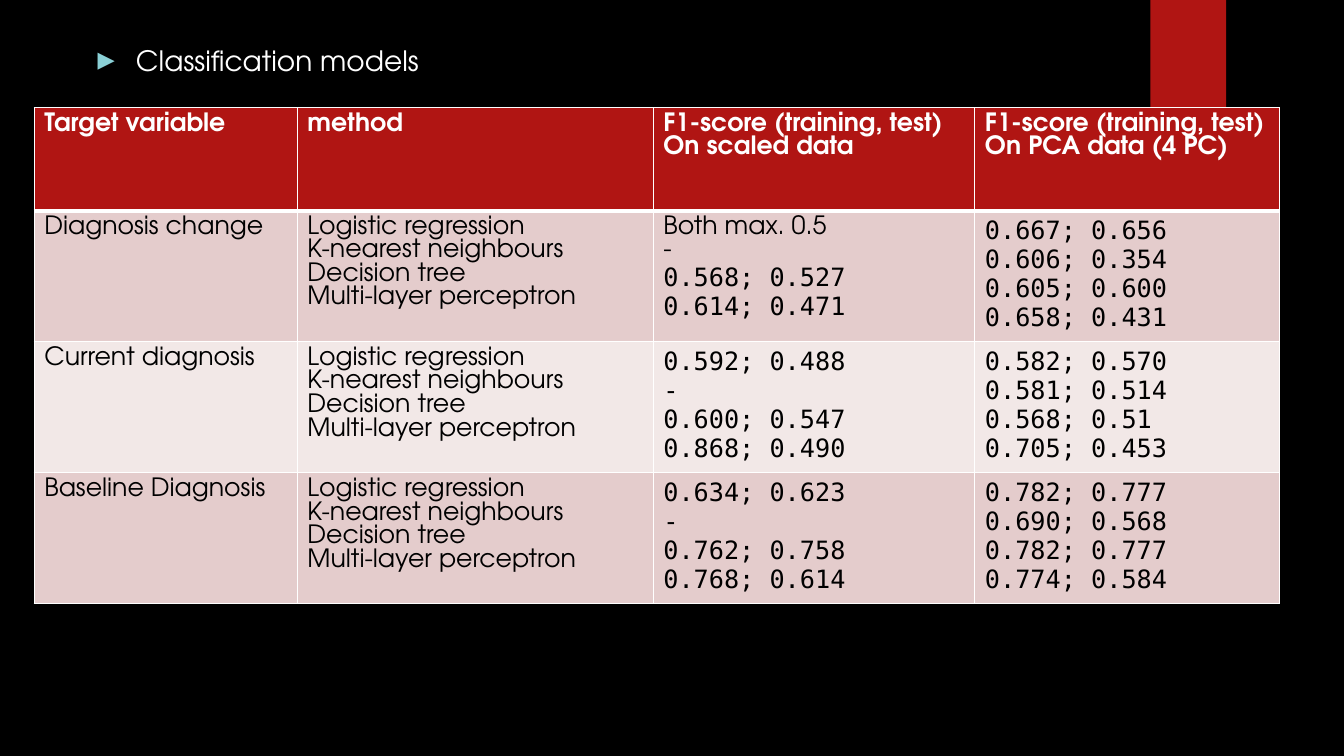
import pptx
import pptx.util
import pptx.dml.color
import pptx.enum.shapes
import pptx.enum.text
import pptx.oxml
import pptx.oxml.ns
import lxml.etree

RED, WHITE, BLACK = "B01513", "FFFFFF", "000000"
BANDS = ["E4CCCC", "F2E8E7"]
SANS, MONO = "TeX Gyre Adventor", "DejaVu Sans Mono"

METHODS = ["Logistic regression", "K-nearest neighbours", "Decision tree",
           "Multi-layer perceptron"]
HEADER = [["Target variable"], ["method"],
          ["F1-score (training, test)", "On scaled data"],
          ["F1-score (training, test)", "On PCA data (4 PC)"]]
SCORES = [
    ("Diagnosis change",
     ["Both max. 0.5", "-", "0.568; 0.527", "0.614; 0.471"],
     ["0.667; 0.656", "0.606; 0.354", "0.605; 0.600", "0.658; 0.431"]),
    ("Current diagnosis",
     ["0.592; 0.488", "-", "0.600; 0.547", "0.868; 0.490"],
     ["0.582; 0.570", "0.581; 0.514", "0.568; 0.51", "0.705; 0.453"]),
    ("Baseline Diagnosis",
     ["0.634; 0.623", "-", "0.762; 0.758", "0.768; 0.614"],
     ["0.782; 0.777", "0.690; 0.568", "0.782; 0.777", "0.774; 0.584"]),
]


def rgb(value):
    return pptx.dml.color.RGBColor.from_string(value)


def write(p, text, font=SANS, size=18, color=BLACK, bold=False):
    r = p.add_run()
    r.text = text
    r.font.name = font
    r.font.size = pptx.util.Pt(size)
    r.font.bold = bold
    r.font.color.rgb = rgb(color)


def element(parent, tag, **attributes):
    return lxml.etree.SubElement(parent, pptx.oxml.ns.qn(tag), attributes)


class Deck:
    """Draw elements on one slide, with lengths in percent of its size."""

    def __init__(self):
        self.prs = pptx.Presentation()
        self.prs.slide_width = pptx.util.Inches(13.33)
        self.prs.slide_height = pptx.util.Inches(7.5)
        self.s = self.prs.slides.add_slide(self.prs.slide_layouts[6])
        fill = self.s.background.fill
        fill.solid()
        fill.fore_color.rgb = rgb(BLACK)

    def x(self, share):
        return round(self.prs.slide_width * share / 100)

    def y(self, share):
        return round(self.prs.slide_height * share / 100)

    def box(self, left, top, width, height):
        return self.x(left), self.y(top), self.x(width), self.y(height)

    def rect(self, *place, color):
        sp = self.s.shapes.add_shape(
            pptx.enum.shapes.MSO_SHAPE.RECTANGLE, *self.box(*place))
        sp.shadow.inherit = False
        sp.fill.solid()
        sp.fill.fore_color.rgb = rgb(color)
        sp.line.fill.background()

    def bullet(self, *place, text):
        tf = self.s.shapes.add_textbox(*self.box(*place)).text_frame
        tf.word_wrap = True
        p = tf.paragraphs[0]
        p.space_before = pptx.util.Pt(10)
        pPr = p._p.get_or_add_pPr()
        indent = pptx.util.Inches(0.38)
        pPr.set("marL", str(indent))
        pPr.set("indent", str(-indent))
        element(element(pPr, "a:buClr"), "a:srgbClr", val="8AD0D6")
        element(pPr, "a:buSzPct", val="80000")
        element(pPr, "a:buFont", typeface="DejaVu Sans")
        element(pPr, "a:buChar", char="▶")
        write(p, text, size=20, color=WHITE)

    def table(self, left, top, widths, heights):
        place = self.box(left, top, sum(widths), sum(heights))
        table = self.s.shapes.add_table(len(heights), len(widths), *place).table
        table.first_row = table.horz_banding = False
        for column, width in zip(table.columns, widths):
            column.width = self.x(width)
        for row, height in zip(table.rows, heights):
            row.height = self.y(height)
        return table

    def cell(self, cell, lines, fill, top=1, bottom=1, **style):
        tcPr = cell._tc.get_or_add_tcPr()
        for side, width in zip("LRTB", (1, 1, top, bottom)):
            ln = element(tcPr, f"a:ln{side}", w=str(pptx.util.Pt(width)))
            element(element(ln, "a:solidFill"), "a:srgbClr", val=WHITE)
        cell.fill.solid()
        cell.fill.fore_color.rgb = rgb(fill)
        tf = cell.text_frame
        for i, (text, font) in enumerate(lines):
            p = tf.add_paragraph() if i else tf.paragraphs[0]
            write(p, text, font=font, **style)


def main():
    deck = Deck()
    deck.rect(85.6, 0, 5.63, 16.67, color=RED)
    deck.bullet(6.53, 5.07, 73.37, 61.2, text="Classification models")
    table = deck.table(2.55, 14.27, [19.58, 26.48, 23.93, 22.66],
                       [13.6] + [16.8] * len(SCORES))
    for column, lines in enumerate(HEADER):
        deck.cell(table.cell(0, column), [(t, SANS) for t in lines], RED,
                  bottom=3, color=WHITE, bold=True)
    for row, (target, scaled, pca) in enumerate(SCORES, 1):
        sans_lines = 2 if row == 1 else 0
        columns = [[(target, SANS)],
                   [(t, SANS) for t in METHODS],
                   [(t, SANS if i < sans_lines else MONO)
                    for i, t in enumerate(scaled)],
                   [(t, MONO) for t in pca]]
        for column, lines in enumerate(columns):
            deck.cell(table.cell(row, column), lines, BANDS[(row - 1) % 2],
                      top=3 if row == 1 else 1)
    deck.prs.save("out.pptx")


if __name__ == "__main__":
    main()
